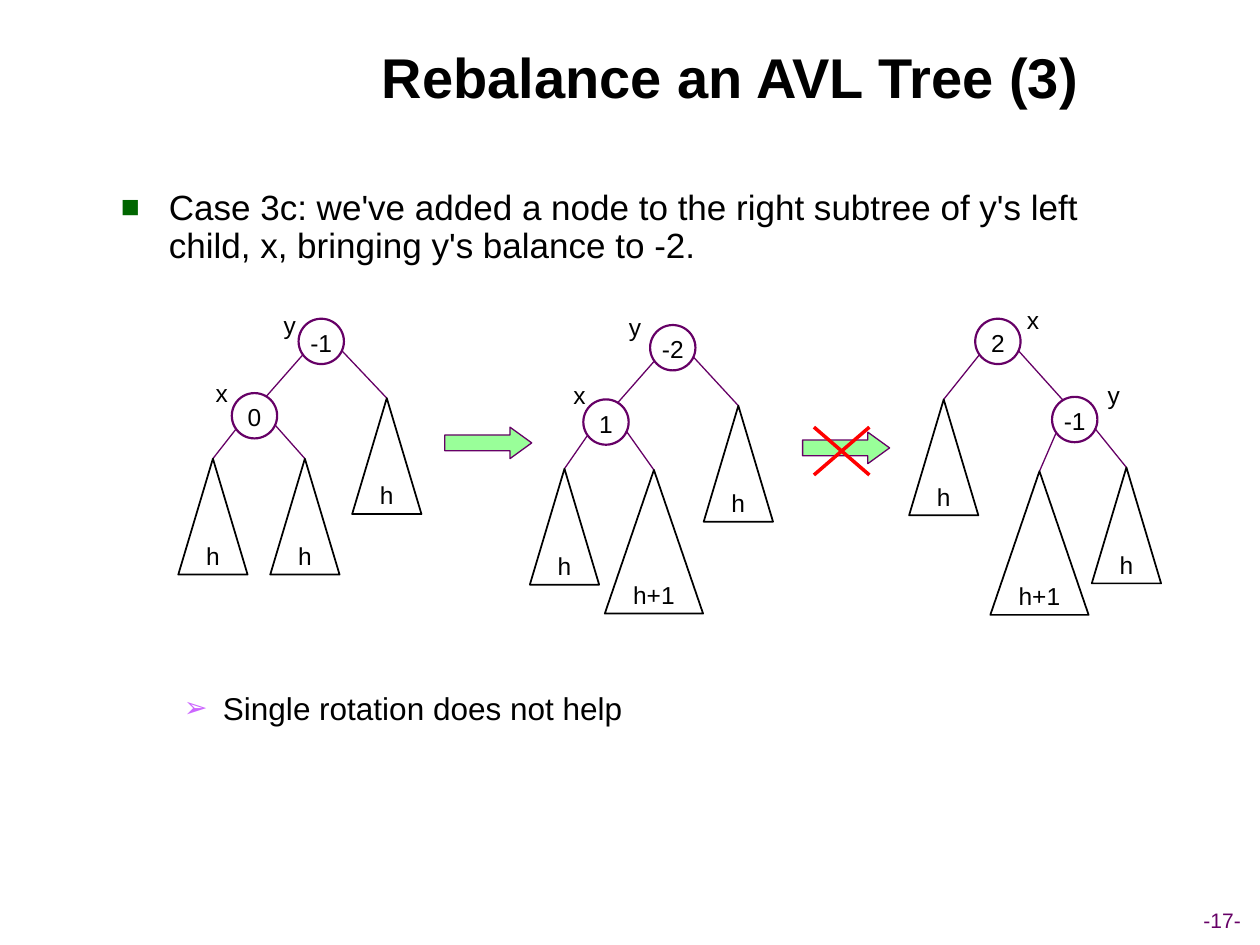
import pptx
import pptx.dml.color
import pptx.enum.shapes
import pptx.enum.text
import pptx.oxml
import pptx.oxml.ns
import pptx.util

Inches, Pt = pptx.util.Inches, pptx.util.Pt
SHAPES = pptx.enum.shapes.MSO_SHAPE
ALIGN, ANCHOR = pptx.enum.text.PP_ALIGN, pptx.enum.text.MSO_ANCHOR

# Content
COLORS = {"ink": "000000", "purple": "660066", "green": "99FF99", "red": "FF0000",
          "square": "006600", "chevron": "CC66FF"}
TITLE = "Rebalance an AVL Tree (3)"
BULLETS = [
    {"text": "Case 3c: we've added a node to the right subtree of y's left child, x, "
             "bringing y's balance to -2.",
     "level": 0, "size": 20, "before": 0, "margin": 0.38, "hang": 0.38,
     "mark": "■", "color": "square"},
    {"text": "Single rotation does not help",
     "level": 1, "size": 18, "before": 244, "margin": 0.81, "hang": 0.31,
     "mark": "➢", "color": "chevron"},
]
PAGE_NUMBER = "-17-"

# Nodes: centre, balance, name, offset of the name, left and right child.
# Subtrees: apex and height label.
TREES = [
    {"at": (2.55, 2.71), "balance": "-1", "name": "y", "offset": (-0.25, -0.13),
     "left": {"at": (2.02, 3.3), "balance": "0", "name": "x", "offset": (-0.26, -0.18),
              "left": {"at": (1.69, 3.64), "height": "h"},
              "right": {"at": (2.42, 3.64), "height": "h"}},
     "right": {"at": (3.07, 3.16), "height": "h"}},
    {"at": (5.34, 2.76), "balance": "-2", "name": "y", "offset": (-0.3, -0.17),
     "left": {"at": (4.81, 3.35), "balance": "1", "name": "x", "offset": (-0.21, -0.22),
              "left": {"at": (4.48, 3.72), "height": "h"},
              "right": {"at": (5.19, 3.73), "height": "h+1"}},
     "right": {"at": (5.86, 3.22), "height": "h"}},
    {"at": (7.92, 2.71), "balance": "2", "name": "x", "offset": (0.28, -0.17),
     "left": {"at": (7.49, 3.17), "height": "h"},
     "right": {"at": (8.53, 3.33), "balance": "-1", "name": "y", "offset": (0.31, -0.2),
               "left": {"at": (8.25, 3.74), "height": "h+1"},
               "right": {"at": (8.94, 3.71), "height": "h"}}},
]
ARROWS = [(3.53, 3.39), (6.37, 3.43)]
CROSS = (6.46, 3.39, 6.9, 3.77)

# Sizes
NODE = 0.36
SUBTREES = {"h": (0.55, 0.92), "h+1": (0.78, 1.14)}
EDGE_START = {"left": (-0.15, 0.11), "right": (0.16, 0.07)}
EDGE_END = {"left": (0.09, -0.15), "right": (-0.09, -0.15)}


def color(name):
    return pptx.dml.color.RGBColor.from_string(COLORS[name])


def write(para, text, size, name="ink", bold=False):
    span = para.add_run()
    span.text = text
    styles = {"name": "Arial", "size": Pt(size), "bold": bold}
    for key, value in styles.items():
        setattr(span.font, key, value)
    span.font.color.rgb = color(name)


def place(shape, left, top, width, height):
    bounds = {"left": left, "top": top, "width": width, "height": height}
    for key, value in bounds.items():
        setattr(shape, key, Inches(value))


def add_label(page, text, x, y, size=14, name="ink"):
    width, height = 0.6, 0.34
    box = page.shapes.add_textbox(Inches(x - width / 2), Inches(y - height / 2),
                                  Inches(width), Inches(height))
    settings = {"word_wrap": False, "vertical_anchor": ANCHOR.MIDDLE}
    for key, value in settings.items():
        setattr(box.text_frame, key, value)
    para = box.text_frame.paragraphs[0]
    para.alignment = ALIGN.CENTER
    write(para, text, size, name)


def add_outline(page, kind, left, top, width, height, line, weight, fill=None):
    shape = page.shapes.add_shape(kind, *map(Inches, (left, top, width, height)))
    shape.shadow.inherit = False
    if fill:
        shape.fill.solid()
        shape.fill.fore_color.rgb = color(fill)
    else:
        shape.fill.background()
    shape.line.color.rgb = color(line)
    shape.line.width = Pt(weight)
    return shape


def add_line(page, start, end, name="purple", weight=0.75):
    line = page.shapes.add_connector(pptx.enum.shapes.MSO_CONNECTOR.STRAIGHT,
                                     *map(Inches, (*start, *end)))
    line.line.color.rgb = color(name)
    line.line.width = Pt(weight)
    properties = line._element.spPr
    properties.append(properties.makeelement(pptx.oxml.ns.qn("a:effectLst"), {}))


def shift(point, offset):
    return point[0] + offset[0], point[1] + offset[1]


def draw_tree(page, tree):
    x, y = tree["at"]
    if "height" in tree:
        width, height = SUBTREES[tree["height"]]
        add_outline(page, SHAPES.ISOSCELES_TRIANGLE, x - width / 2, y, width, height, "ink", 1)
        add_label(page, tree["height"], x, y + height - 0.15)
        return
    add_outline(page, SHAPES.OVAL, x - NODE / 2, y - NODE / 2, NODE, NODE, "purple", 1.25)
    add_label(page, tree["balance"], x, y + 0.01)
    add_label(page, tree["name"], *shift(tree["at"], tree["offset"]))
    for side in ("left", "right"):
        child = tree[side]
        end = child["at"] if "height" in child else shift(child["at"], EDGE_END[side])
        add_line(page, shift(tree["at"], EDGE_START[side]), end)
        draw_tree(page, child)


def add_bullet(para, bullet):
    para.level = bullet["level"]
    para.alignment = ALIGN.LEFT
    para.line_spacing = 0.9
    para.space_before = Pt(bullet["before"])
    properties = para._p.get_or_add_pPr()
    properties.set("marL", str(Inches(bullet["margin"])))
    properties.set("indent", str(-Inches(bullet["hang"])))
    namespace = pptx.oxml.ns.nsdecls("a")
    for mark in (f'<a:buClr {namespace}><a:srgbClr val="{COLORS[bullet["color"]]}"/></a:buClr>',
                 f'<a:buSzPct {namespace} val="90000"/>',
                 f'<a:buFont {namespace} typeface="Arial"/>',
                 f'<a:buChar {namespace} char="{bullet["mark"]}"/>'):
        properties.append(pptx.oxml.parse_xml(mark))
    write(para, bullet["text"], bullet["size"])


def main():
    deck = pptx.Presentation()
    deck.slide_width, deck.slide_height = Inches(10), Inches(7.5)
    page = deck.slides.add_slide(deck.slide_layouts[1])

    # Title and list
    title, body = page.placeholders
    place(title, 1.16, 0.13, 9.27, 0.95)
    place(body, 0.86, 1.46, 8.38, 5.47)
    for box, anchor in ((title, ANCHOR.MIDDLE), (body, ANCHOR.TOP)):
        box.text_frame.vertical_anchor = anchor
        box.text_frame.auto_size = pptx.enum.text.MSO_AUTO_SIZE.NONE
    title.text_frame.paragraphs[0].alignment = ALIGN.CENTER
    write(title.text_frame.paragraphs[0], TITLE, 32, bold=True)
    for index, bullet in enumerate(BULLETS):
        frame = body.text_frame
        add_bullet(frame.add_paragraph() if index else frame.paragraphs[0], bullet)

    # Trees
    for tree in TREES:
        draw_tree(page, tree)

    # Arrows between the trees, the second crossed out
    for left, top in ARROWS:
        arrow = add_outline(page, SHAPES.RIGHT_ARROW, left, top, 0.69, 0.25,
                            "purple", 0.75, "green")
        arrow.adjustments[1] = 0.69
    left, top, right, bottom = CROSS
    add_line(page, (left, top), (right, bottom), "red", 2)
    add_line(page, (right, top), (left, bottom), "red", 2)

    # Page number
    add_label(page, PAGE_NUMBER, 9.7, 7.3, 12, "purple")
    deck.save("out.pptx")


if __name__ == "__main__":
    main()
